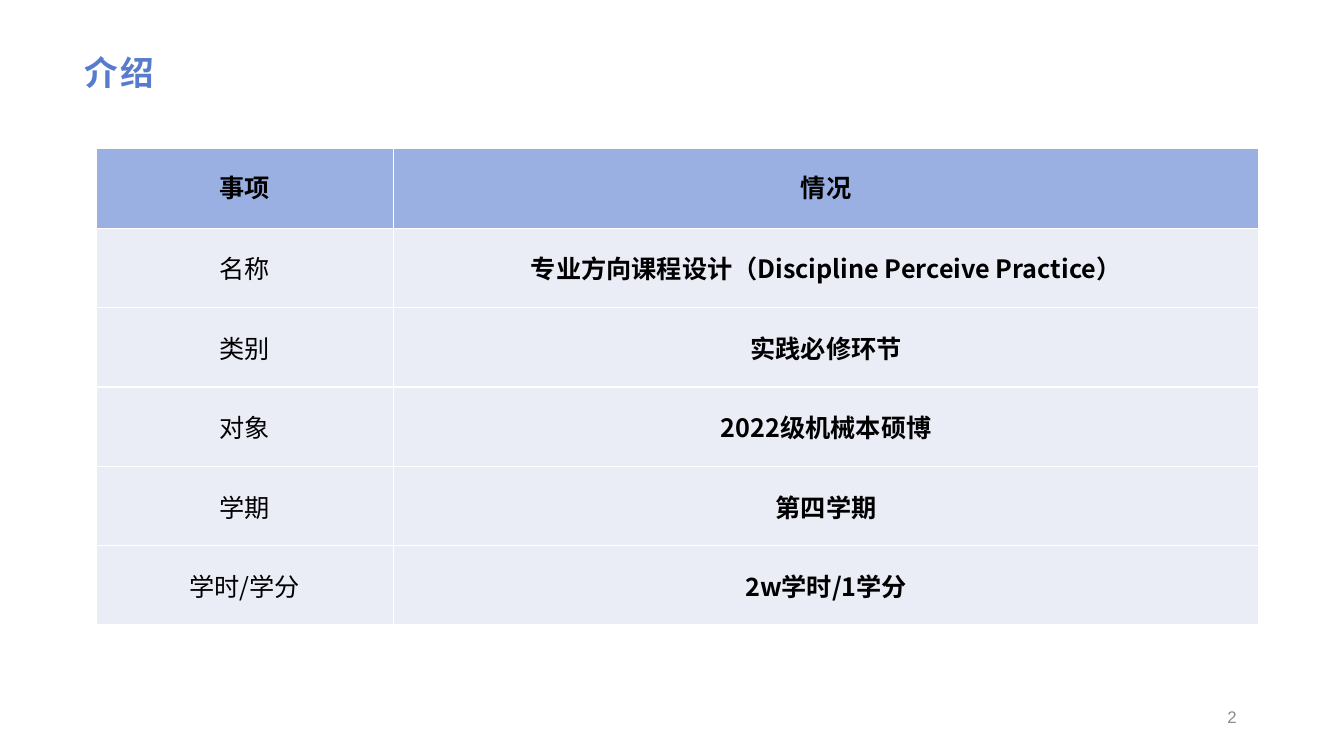
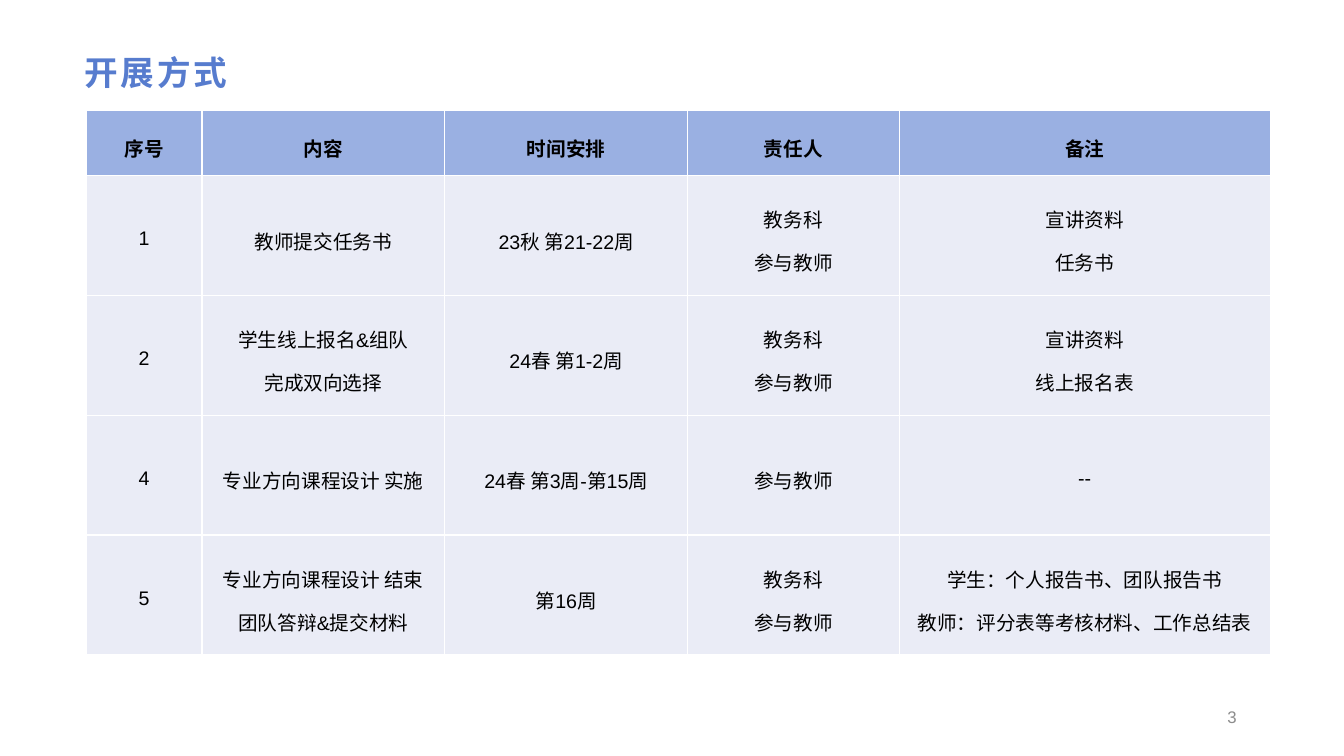
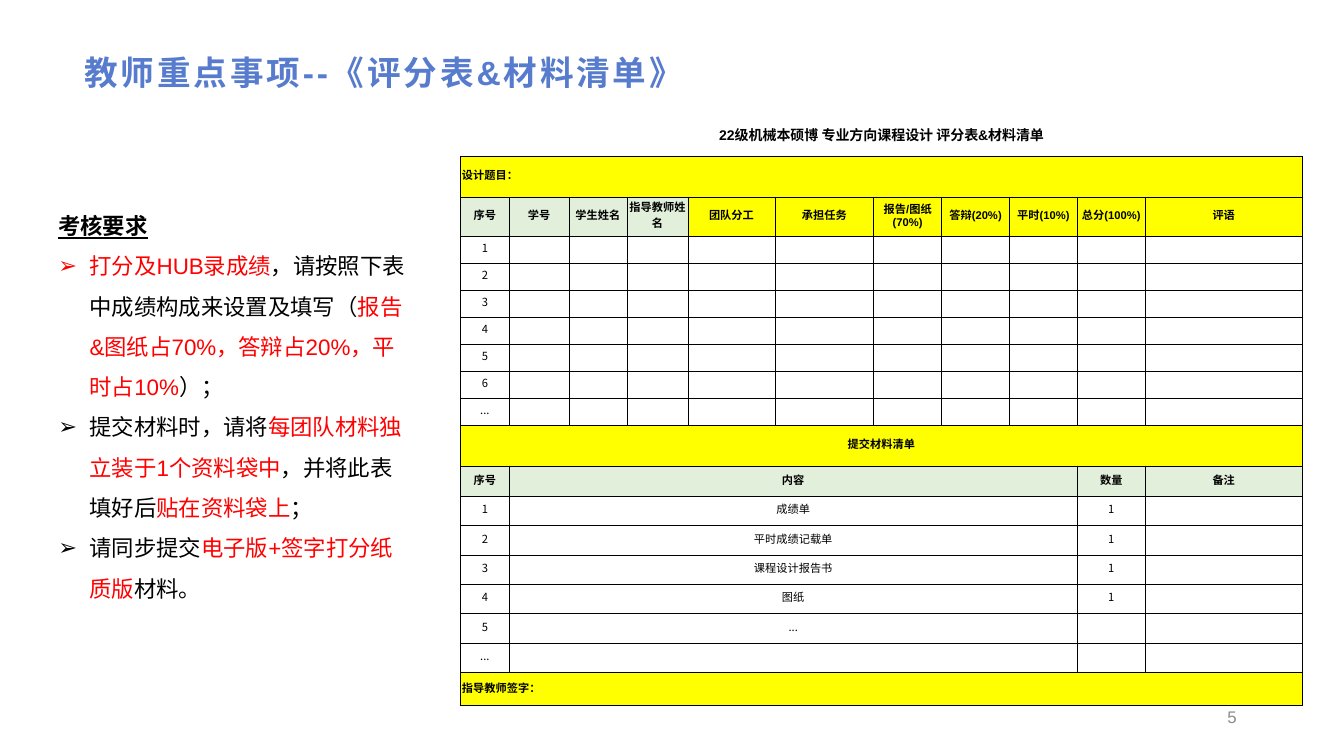
from dataclasses import dataclass

from lxml import etree
from pptx import Presentation
from pptx import util as u
from pptx.dml.color import RGBColor
from pptx.enum import text
from pptx.oxml.ns import qn

# Shared style
BLUE = RGBColor(0x57, 0x7C, 0xCE)
HEADER_BLUE = RGBColor(0x9A, 0xB0, 0xE2)
PALE_BLUE = RGBColor(0xEA, 0xEC, 0xF6)
YELLOW = RGBColor(0xFF, 0xFF, 0x00)
GREEN = RGBColor(0xE2, 0xEF, 0xDA)
RED = RGBColor(0xFF, 0x00, 0x00)
GRAY = RGBColor(0x8C, 0x8C, 0x8C)
BLACK = RGBColor(0x00, 0x00, 0x00)
WHITE = RGBColor(0xFF, 0xFF, 0xFF)
ARIAL = "Arial"
CJK = "Noto Sans CJK SC"
LEFT, CENTER, RIGHT = text.PP_ALIGN.LEFT, text.PP_ALIGN.CENTER, text.PP_ALIGN.RIGHT
TOP, MIDDLE = text.MSO_ANCHOR.TOP, text.MSO_ANCHOR.MIDDLE


def margins(left, top, right, bottom):
    return {
        "margin_left": u.Cm(left),
        "margin_top": u.Cm(top),
        "margin_right": u.Cm(right),
        "margin_bottom": u.Cm(bottom),
    }


TIGHT = margins(0.03, 0.03, 0.03, 0.13)
ROOMY = margins(0.25, 0.13, 0.25, 0.13)


def apply(target, values):
    for name, value in values.items():
        setattr(target, name, value)


@dataclass
class Cell:
    words: str = ""
    fill: RGBColor = None
    bold: bool = False
    latin: str = ARIAL
    size: int = 8
    align: int = CENTER
    span: int = 1
    edges: str = "LRTB"
    line_spacing: float = 1.0
    insets: dict = None


class Deck:
    def __init__(self):
        self.presentation = Presentation()
        apply(self.presentation, {"slide_width": u.Cm(33.87), "slide_height": u.Cm(19.05)})
        self.slide = None

    def new_slide(self, title, number):
        self.slide = self.presentation.slides.add_slide(self.presentation.slide_layouts[6])
        paragraph = self.text_box(1.85, 1.22, 30.15, 1.22, TOP, margins(0.28, 0.1, 0.2, 0.1))
        run = self.run(paragraph, title, BLUE, size=u.Pt(24), bold=True)
        run._r.get_or_add_rPr().set("spc", "200")
        paragraph = self.text_box(23.93, 17.63, 7.49, 0.89, MIDDLE, ROOMY)
        paragraph.alignment = RIGHT
        self.run(paragraph, str(number), GRAY, size=u.Pt(12))

    def text_box(self, left, top, width, height, anchor, insets, auto_size=text.MSO_AUTO_SIZE.NONE):
        """Add a wrapping text box and return its first paragraph."""
        box = self.slide.shapes.add_textbox(u.Cm(left), u.Cm(top), u.Cm(width), u.Cm(height))
        apply(box.text_frame, {
            "word_wrap": True, "vertical_anchor": anchor, "auto_size": auto_size, **insets,
        })
        return box.text_frame.paragraphs[0]

    def run(self, paragraph, words, color=BLACK, name=ARIAL, **font):
        run = paragraph.add_run()
        run.text = words
        apply(run.font, {"name": name, **font})
        run.font.color.rgb = color
        etree.SubElement(run._r.get_or_add_rPr(), qn("a:ea")).set("typeface", CJK)
        return run

    def bullet(self, paragraph, indent):
        properties = paragraph._p.get_or_add_pPr()
        properties.set("marL", str(u.Cm(indent)))
        properties.set("indent", str(-u.Cm(indent)))
        etree.SubElement(properties, qn("a:buFont")).set("typeface", ARIAL)
        etree.SubElement(properties, qn("a:buChar")).set("char", "➢")

    def bullet_box(self, left, top, width, height, heading, points):
        """Add an underlined heading over bullets made of (words, color) runs."""
        paragraph = self.text_box(left, top, width, height, TOP, ROOMY,
                                  text.MSO_AUTO_SIZE.SHAPE_TO_FIT_TEXT)
        frame = paragraph._parent
        paragraph.line_spacing = 1.5
        self.run(paragraph, heading, size=u.Pt(16), bold=True, underline=True)
        for point in points:
            paragraph = frame.add_paragraph()
            paragraph.line_spacing = 1.5
            self.bullet(paragraph, 0.79)
            for words, color in point:
                self.run(paragraph, words, color, size=u.Pt(16))

    def table(self, left, top, widths, heights, rows, line_color, line_width):
        frame = self.slide.shapes.add_table(
            len(heights), len(widths), u.Cm(left), u.Cm(top),
            u.Cm(sum(widths)), u.Cm(sum(heights)))
        table = frame.table
        apply(table, {"first_row": False, "horz_banding": False})
        for column, width in zip(table.columns, widths):
            column.width = u.Cm(width)
        for row, height in zip(table.rows, heights):
            row.height = u.Cm(height)
        for row_index, row in enumerate(rows):
            start = 0
            for content in row:
                end = start + content.span
                for column_index in range(start, end):
                    cell = table.cell(row_index, column_index)
                    self.borders(cell, content.edges, line_color, line_width)
                    self.fill_cell(cell, content, content.words if column_index == start else "")
                if content.span > 1:
                    table.cell(row_index, start).merge(table.cell(row_index, end - 1))
                start = end

    def borders(self, cell, edges, color, width):
        properties = cell._tc.get_or_add_tcPr()
        for edge in "LRTB":
            line = etree.SubElement(properties, qn(f"a:ln{edge}"), w=str(u.Pt(width)))
            if edge in edges:
                fill = etree.SubElement(line, qn("a:solidFill"))
                etree.SubElement(fill, qn("a:srgbClr")).set("val", str(color))
            else:
                etree.SubElement(line, qn("a:noFill"))

    def fill_cell(self, cell, content, words):
        apply(cell, {"vertical_anchor": MIDDLE, **(content.insets or TIGHT)})
        if content.fill is None:
            cell.fill.background()
        else:
            cell.fill.solid()
            cell.fill.fore_color.rgb = content.fill
        for index, line in enumerate(words.split("\n")):
            frame = cell.text_frame
            paragraph = frame.add_paragraph() if index else frame.paragraphs[0]
            apply(paragraph, {"alignment": content.align, "line_spacing": content.line_spacing})
            if line:
                self.run(paragraph, line, name=content.latin,
                         size=u.Pt(content.size), bold=content.bold)
            else:
                # Keeps empty rows from growing to the default text size
                paragraph._p.get_or_add_endParaRPr().set("sz", str(content.size * 100))


def introduction(deck):
    deck.new_slide("介绍", 2)
    header = [Cell(words, HEADER_BLUE, True, CJK, 18) for words in ("事项", "情况")]
    facts = [
        ("名称", "专业方向课程设计（Discipline Perceive Practice）"),
        ("类别", "实践必修环节"),
        ("对象", "2022级机械本硕博"),
        ("学期", "第四学期"),
        ("学时/学分", "2w学时/1学分"),
    ]
    body = [
        [Cell(words, PALE_BLUE, column == 1, CJK, 18, insets=ROOMY)
         for column, words in enumerate(fact)]
        for fact in facts
    ]
    deck.table(2.43, 3.75, [7.48, 21.82], [2] * 6, [header] + body, WHITE, 1)


def schedule(deck):
    deck.new_slide("开展方式", 3)
    both = "教务科\n参与教师"
    steps = [
        ("序号", "内容", "时间安排", "责任人", "备注"),
        ("1", "教师提交任务书", "23秋 第21-22周", both, "宣讲资料\n任务书"),
        ("2", "学生线上报名&组队\n完成双向选择", "24春 第1-2周", both, "宣讲资料\n线上报名表"),
        ("4", "专业方向课程设计 实施", "24春 第3周-第15周", "参与教师", "--"),
        ("5", "专业方向课程设计 结束\n团队答辩&提交材料", "第16周", both,
         "学生：个人报告书、团队报告书\n教师：评分表等考核材料、工作总结表"),
    ]
    rows = [
        [Cell(words, PALE_BLUE if index else HEADER_BLUE, index == 0, size=14, line_spacing=1.5)
         for words in step]
        for index, step in enumerate(steps)
    ]
    deck.table(2.17, 2.79, [2.92, 6.12, 6.12, 5.33, 9.35], [1.63] + [3.02] * 4, rows, WHITE, 1)


def scoring(deck):
    deck.new_slide("教师重点事项--《评分表&材料清单》", 5)

    # Score sheet
    def band(words, align=LEFT):
        return [Cell(words, YELLOW, True, align=align, span=11)]

    caption = Cell("22级机械本硕博 专业方向课程设计 评分表&材料清单",
                   bold=True, size=10, span=11, edges="B")
    given = ["序号", "学号", "学生姓名", "指导教师姓名"]
    filled_in = ["团队分工", "承担任务", "报告/图纸(70%)", "答辩(20%)", "平时(10%)",
                 "总分(100%)", "评语"]
    score_header = ([Cell(words, GREEN, True) for words in given]
                    + [Cell(words, YELLOW, True) for words in filled_in])
    score_rows = [
        [Cell(number, latin=CJK)] + [Cell()] * 10
        for number in ("1", "2", "3", "4", "5", "6", "...")
    ]

    # Material list
    spans = (1, 8, 1, 1)
    materials = [
        ("1", "成绩单", "1", ""),
        ("2", "平时成绩记载单", "1", ""),
        ("3", "课程设计报告书", "1", ""),
        ("4", "图纸", "1", ""),
        ("5", "...", "", ""),
        ("...", "", "", ""),
    ]
    material_header = [Cell(words, GREEN, True, span=span)
                       for words, span in zip(("序号", "内容", "数量", "备注"), spans)]
    material_rows = [
        [Cell(words, latin=CJK, span=span) for words, span in zip(material, spans)]
        for material in materials
    ]
    rows = [
        [caption], band("设计题目："), score_header, *score_rows,
        band("提交材料清单", CENTER), material_header, *material_rows, band("指导教师签字："),
    ]
    widths = [1.22, 1.51, 1.46, 1.54, 2.19, 2.49] + [1.71] * 4 + [3.96]
    heights = [1.02, 1.03, 0.84] + [0.68] * 7 + [1.05] + [0.74] * 7 + [0.84]
    deck.table(11.61, 2.92, widths, heights, rows, BLACK, 0.5)

    # Requirements
    deck.bullet_box(1.22, 4.88, 9.35, 10.52, "考核要求", [
        [("打分及HUB录成绩", RED), ("，请按照下表中成绩构成来设置及填写（", BLACK),
         ("报告&图纸占70%，答辩占20%，平时占10%", RED), ("）；", BLACK)],
        [("提交材料时，请将", BLACK), ("每团队材料独立装于1个资料袋中", RED),
         ("，并将此表填好后", BLACK), ("贴在资料袋上", RED), ("；", BLACK)],
        [("请同步提交", BLACK), ("电子版+签字打分纸质版", RED), ("材料。", BLACK)],
    ])


def main():
    deck = Deck()
    introduction(deck)
    schedule(deck)
    scoring(deck)
    deck.presentation.save("out.pptx")


if __name__ == "__main__":
    main()
